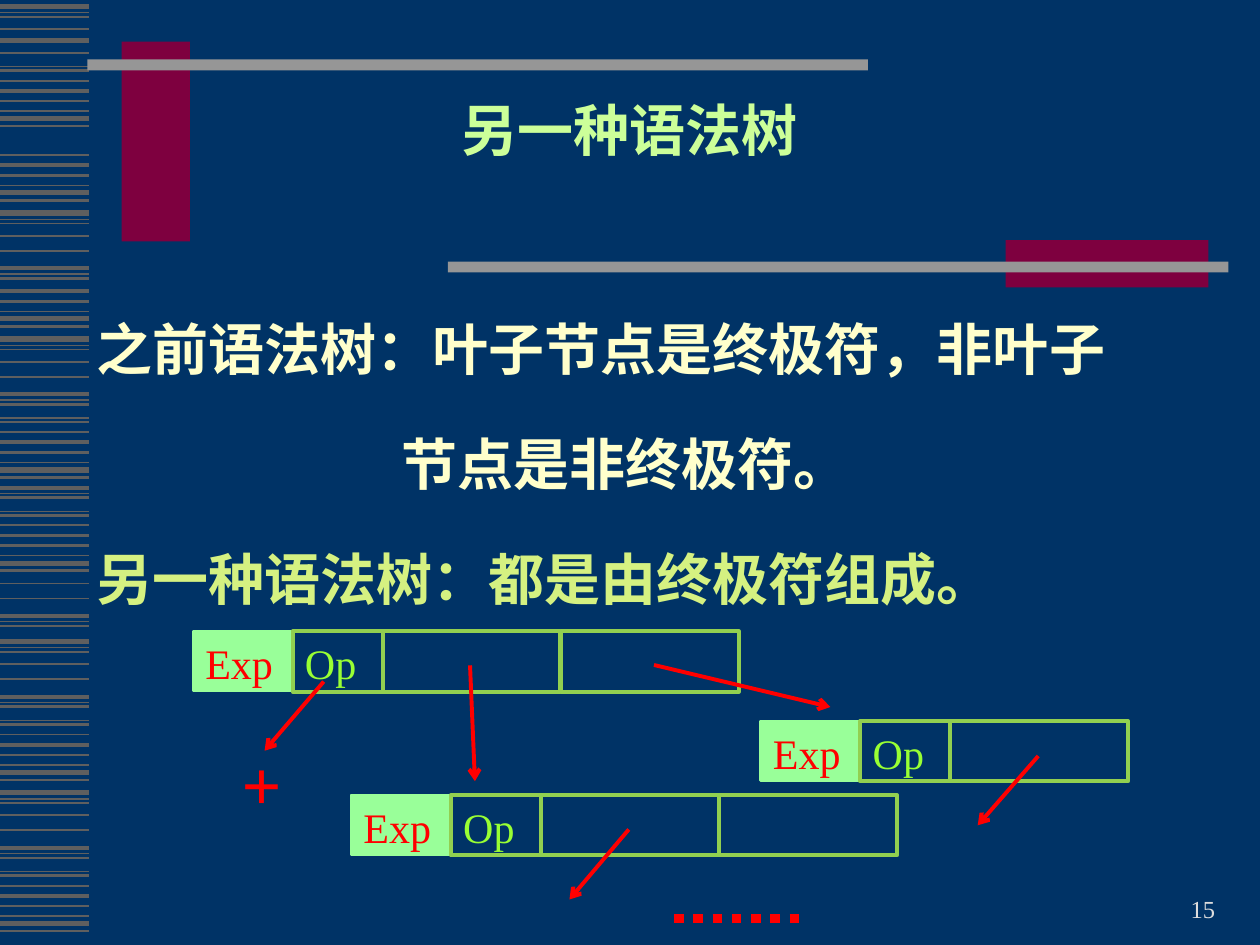
from lxml.etree import SubElement
from pptx import Presentation
from pptx.dml.color import RGBColor
from pptx.enum.dml import MSO_LINE
from pptx.enum.shapes import MSO_CONNECTOR, MSO_SHAPE
from pptx.enum.text import MSO_ANCHOR, PP_ALIGN
from pptx.oxml.ns import qn
from pptx.util import Pt

NAVY = RGBColor(0x00, 0x33, 0x66)
STRIPE_GRAY = RGBColor(0x5F, 0x5F, 0x5F)
BAR_GRAY = RGBColor(0x96, 0x96, 0x96)
MAROON = RGBColor(0x7E, 0x00, 0x3F)
NUMBER_GRAY = RGBColor(0xDD, 0xDD, 0xDD)
TITLE_GREEN = RGBColor(0xCC, 0xFF, 0x99)
CREAM = RGBColor(0xFF, 0xFF, 0xCC)
LIME = RGBColor(0xD5, 0xF1, 0x81)
TAG_GREEN = RGBColor(0x99, 0xFF, 0x99)
BORDER_GREEN = RGBColor(0x92, 0xD0, 0x50)
OPERATOR_GREEN = RGBColor(0x99, 0xFF, 0x33)
RED = RGBColor(0xFF, 0x00, 0x00)

FALLING = [(-21.6, 1), (-15.8, 2.25), (-10, 1.5), (-4.3, 0.75), (0, 3), (4.3, 1.5)]
RISING = [(0, 3), (3.6, 0.75), (6, 1), (13, 1), (21.6, 1), (31.7, 2.25),
          (34.9, 0.75), (37.4, 1.5), (45.2, 0.75), (47.5, 1.5)]
STRIPE_BANDS = [
    (527.8, FALLING), (441.4, FALLING), (321.8, FALLING), (268.6, FALLING),
    (182.2, FALLING[1:]), (110.2, FALLING), (67.7, FALLING),
    (452.9, RISING), (366.5, RISING), (320.4, RISING[3:8]), (247, RISING[5:]),
    (193.7, RISING), (121.7, RISING[:8]), (3.6, RISING[:4]),
    (-7.2, RISING[7:]), (23, [(0, 3)]),
]


class SlideBuilder:
    font_name = "Times New Roman"

    def __init__(self, slide):
        self.slide = slide

    def apply(self, target, formats):
        for name, value in formats.items():
            setattr(target, name, value)

    def add_text(self, paragraph, text, size, color, bold=False, **formats):
        self.apply(paragraph, formats)
        run = paragraph.add_run()
        run.text = text
        self.apply(run.font, {"name": self.font_name, "size": Pt(size), "bold": bold})
        run.font.color.rgb = color

    def text_box(self, left, top, width, height, lines, anchor=MSO_ANCHOR.TOP):
        box = self.slide.shapes.add_textbox(Pt(left), Pt(top), Pt(width), Pt(height))
        frame = box.text_frame
        self.apply(frame, {"word_wrap": True, "vertical_anchor": anchor})
        for index, line in enumerate(lines):
            paragraph = frame.add_paragraph() if index else frame.paragraphs[0]
            self.add_text(paragraph, **line)
        return frame

    def rectangle(self, left, top, width, height, fill=None, border=None,
                  weight=2.25, label=None, label_color=None):
        shape = self.slide.shapes.add_shape(
            MSO_SHAPE.RECTANGLE, Pt(left), Pt(top), Pt(width), Pt(height))
        shape.shadow.inherit = False
        for part, color in ((shape.fill, fill), (shape.line.fill, border)):
            if color is None:
                part.background()
            else:
                part.solid()
                part.fore_color.rgb = color
        if border is not None:
            shape.line.width = Pt(weight)
        if label:
            shape.text_frame.vertical_anchor = MSO_ANCHOR.TOP
            self.add_text(shape.text_frame.paragraphs[0], label, 24, label_color,
                          alignment=PP_ALIGN.LEFT)

    def line(self, start, end, color, weight, dash=None, arrow=False):
        connector = self.slide.shapes.add_connector(
            MSO_CONNECTOR.STRAIGHT, *(Pt(value) for value in (*start, *end)))
        connector.line.color.rgb = color
        self.apply(connector.line, {"width": Pt(weight), "dash_style": dash})
        properties = connector._element.spPr
        if arrow:
            SubElement(properties.find(qn("a:ln")), qn("a:tailEnd"), type="arrow")
        SubElement(properties, qn("a:effectLst"))

    def tree_node(self, left, top, pointer_count):
        self.rectangle(left, top, 57, 34, TAG_GREEN, TAG_GREEN, 1.5, "Exp", RED)
        self.rectangle(left + 57, top, 51.5, 34.5, border=BORDER_GREEN,
                       label="Op", label_color=OPERATOR_GREEN)
        for index in range(pointer_count):
            self.rectangle(left + 108.5 + index * 102, top, 101.5, 34.5,
                           border=BORDER_GREEN)


def main():
    presentation = Presentation()
    presentation.slide_width, presentation.slide_height = Pt(720), Pt(540)
    slide = presentation.slides.add_slide(presentation.slide_layouts[6])
    slide.background.fill.solid()
    slide.background.fill.fore_color.rgb = NAVY
    builder = SlideBuilder(slide)

    for base, band in STRIPE_BANDS:
        for offset, weight in band:
            builder.line((0, base + offset), (51, base + offset), STRIPE_GRAY, weight)
    for left, top, width, height, color in (
        (69.6, 23.8, 39, 114.2, MAROON),
        (50, 34, 446, 6.2, BAR_GRAY),
        (574.6, 137.2, 116, 27, MAROON),
        (256, 149.5, 446, 6.2, BAR_GRAY),
    ):
        builder.rectangle(left, top, width, height, color)

    builder.text_box(528.5, 495.5, 173, 36, [
        dict(text="15", size=14, color=NUMBER_GRAY, alignment=PP_ALIGN.RIGHT),
    ], MSO_ANCHOR.BOTTOM)
    builder.text_box(36.7, 31.7, 646.5, 90, [
        dict(text="另一种语法树", size=32, color=TITLE_GREEN, bold=True,
             alignment=PP_ALIGN.CENTER, line_spacing=0.85),
    ], MSO_ANCHOR.MIDDLE)
    body = dict(size=32, bold=True, line_spacing=1.5)
    body_frame = builder.text_box(48.2, 157, 612, 329, [
        dict(body, text="之前语法树：叶子节点是终极符，非叶子", color=CREAM),
        dict(body, text="节点是非终极符。", color=CREAM, space_before=Pt(8)),
        dict(body, text="另一种语法树：都是由终极符组成。", color=LIME,
             space_before=Pt(8)),
    ])
    body_frame.paragraphs[1]._p.get_or_add_pPr().set("marL", str(int(Pt(174))))

    for left, top, pointer_count in ((110.2, 360.7, 2), (200.6, 454.3, 2), (434.6, 412, 1)):
        builder.tree_node(left, top, pointer_count)
    builder.text_box(131, 419.8, 39.6, 55.4, [
        dict(text="+", size=40, color=RED, bold=True),
    ])
    for start, end in (
        ((185, 389.5), (151.2, 429)),
        ((268.6, 380.2), (271.4, 446.4)),
        ((373.7, 380), (474.5, 404)),
        ((359.3, 474), (325.4, 514)),
        ((593.3, 432), (558.7, 471.6)),
    ):
        builder.line(start, end, RED, 2.25, arrow=True)
    builder.line((385.2, 524.9), (460, 524.9), RED, 5.5, dash=MSO_LINE.ROUND_DOT)

    presentation.save("out.pptx")


if __name__ == "__main__":
    main()
